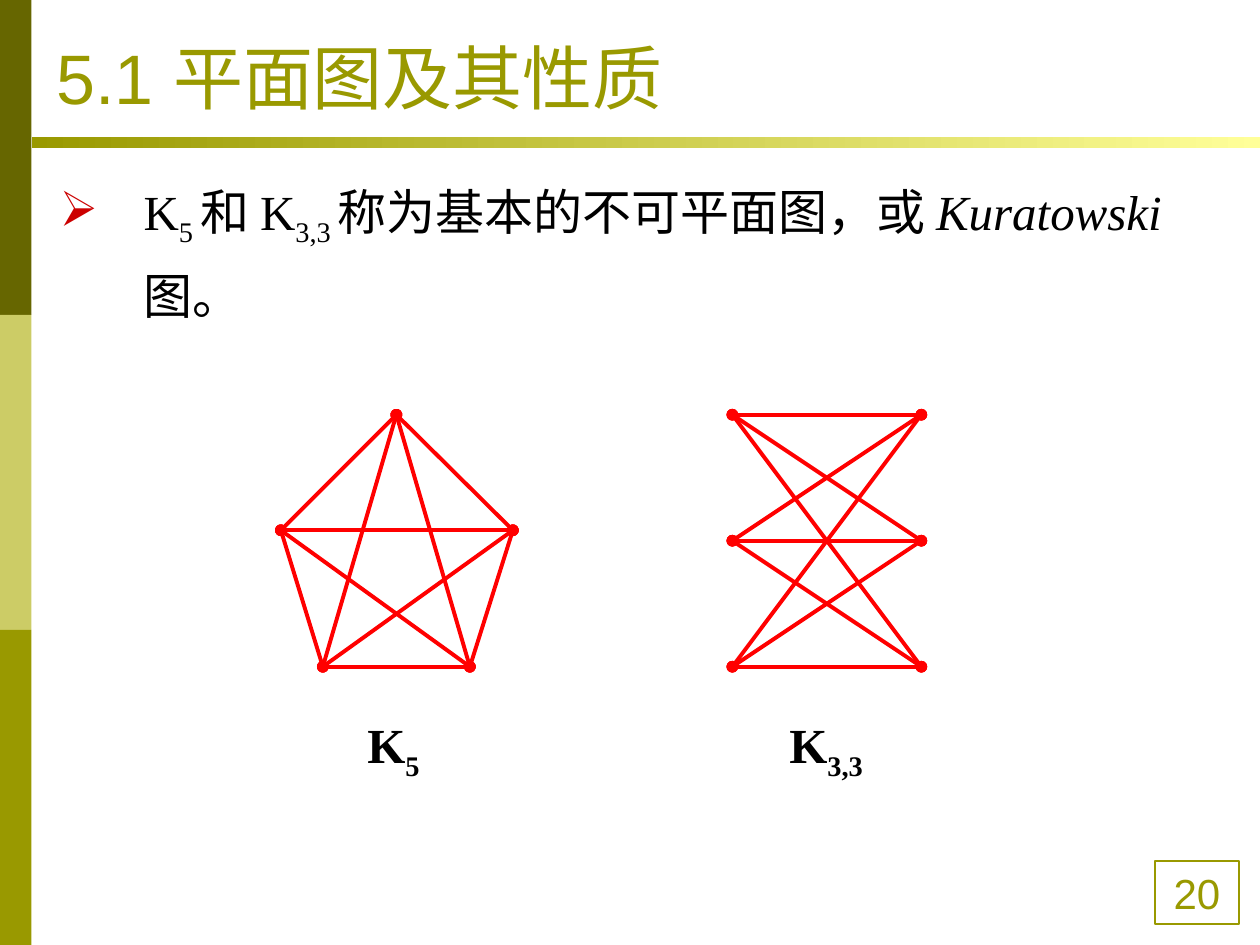
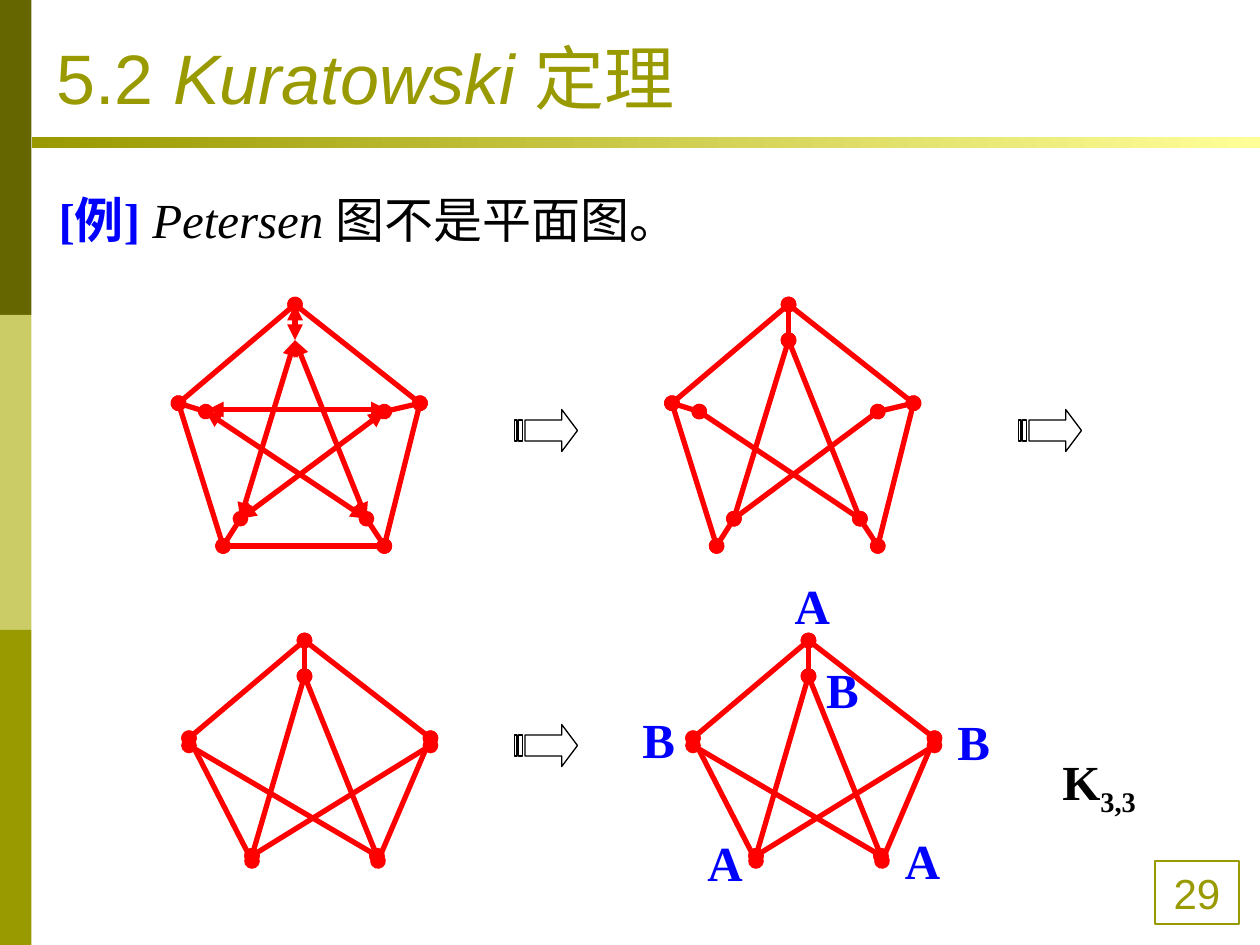
from dataclasses import dataclass
from itertools import combinations, product
from typing import NamedTuple

from lxml import etree
from pptx import Presentation, util as u
from pptx.dml.color import RGBColor
from pptx.enum import shapes, text
from pptx.oxml import ns

COLS, ROWS = 120, 90
UNIT = u.Inches(10) // COLS


@dataclass(frozen=True)
class Theme:
    dark: str = "666600"
    pale: str = "CCCC66"
    olive: str = "999900"
    glow: str = "FFFF99"
    mark: str = "CC0000"
    edge: str = "FF0000"
    note: str = "0000FF"
    ink: str = "000000"
    paper: str = "FFFFFF"
    sans: str = "Arial"
    serif: str = "Times New Roman"
    head: int = 40
    body: int = 28
    page: int = 24


T = Theme()


class Box(NamedTuple):
    x: float
    y: float
    w: float
    h: float


class Dot(NamedTuple):
    x: float
    y: float


class Span(NamedTuple):
    txt: str
    bold: bool = False
    slant: bool = False
    sub: bool = False
    color: str = ""


@dataclass(frozen=True)
class Style:
    font: str
    size: int
    color: str


@dataclass(frozen=True)
class Graph:
    """Named dots and the edges between them, each edge a pair of names."""
    dots: dict[str, Dot]
    edges: list[tuple[str, str]]
    width: float = 3
    tip: str = "oval"


HEAD = Style(T.sans, T.head, T.olive)
BODY = Style(T.serif, T.body, T.ink)
NOTE = Style(T.serif, T.body, T.note)
PAGE = Style(T.sans, T.page, T.olive)


def grid(*vals: float) -> list[u.Emu]:
    return [u.Emu(round(v * UNIT)) for v in vals]


def rgb(code: str) -> RGBColor:
    return RGBColor.from_string(code)


def pairs(words: str) -> list[tuple[str, str]]:
    """Turn 'a-b c-d' into [(a, b), (c, d)]."""
    return [tuple(w.split("-")) for w in words.split()]


def shift(dots: dict[str, Dot], dx: float) -> dict[str, Dot]:
    return {k: Dot(d.x + dx, d.y) for k, d in dots.items()}


def add_rect(slide, box: Box, fill: str = "", line: str = ""):
    rect = slide.shapes.add_shape(shapes.MSO_SHAPE.RECTANGLE, *grid(*box))
    rect.shadow.inherit = False
    if fill:
        rect.fill.solid()
        rect.fill.fore_color.rgb = rgb(fill)
    else:
        rect.fill.background()
    if line:
        rect.line.color.rgb = rgb(line)
        rect.line.width = u.Pt(0.75)
    else:
        rect.line.fill.background()
    return rect


def put_spans(para, spans: list[Span], style: Style) -> None:
    for span in spans:
        run = para.add_run()
        run.text = span.txt
        font = run.font
        font.name, font.size = style.font, u.Pt(style.size)
        font.color.rgb = rgb(span.color or style.color)
        font.bold, font.italic = span.bold, span.slant
        if span.sub:
            run._r.get_or_add_rPr().set("baseline", "-25000")


def add_text(slide, box: Box, spans: list[Span], style: Style, wrap: bool = True):
    shape = slide.shapes.add_textbox(*grid(*box))
    shape.text_frame.word_wrap = wrap
    put_spans(shape.text_frame.paragraphs[0], spans, style)
    return shape


def add_body(slide, box: Box, spans: list[Span], bullet: str = "") -> None:
    """Place a paragraph with a hanging indent and an optional bullet."""
    para = add_text(slide, box, spans, BODY).text_frame.paragraphs[0]
    para.line_spacing = 1.3
    props = para._p.get_or_add_pPr()
    hang = 8 * UNIT
    props.set("marL", str(hang))
    props.set("indent", str(-hang))
    if bullet:
        color = etree.SubElement(props, ns.qn("a:buClr"))
        etree.SubElement(color, ns.qn("a:srgbClr"), val=T.mark)
        etree.SubElement(props, ns.qn("a:buChar"), char=bullet)


def add_edge(group, start: Dot, end: Dot, width: float, tip: str) -> None:
    line = group.shapes.add_connector(
        shapes.MSO_CONNECTOR.STRAIGHT, *grid(*start, *end))
    line.line.color.rgb = rgb(T.edge)
    line.line.width = u.Pt(width)
    props = line._element.spPr
    for name in ("a:headEnd", "a:tailEnd"):
        etree.SubElement(props.find(ns.qn("a:ln")), ns.qn(name), type=tip)
    etree.SubElement(props, ns.qn("a:effectLst"))


def add_graph(slide, *parts: Graph) -> None:
    group = slide.shapes.add_group_shape()
    for part in parts:
        for a, b in part.edges:
            add_edge(group, part.dots[a], part.dots[b], part.width, part.tip)


def add_arrow(slide, x: float, y: float) -> None:
    """Draw a right arrow with two stripes behind its tail."""
    loops = [[(1, 1), (4.5, 1), (4.5, 0), (6, 2), (4.5, 4), (4.5, 3), (1, 3)]]
    loops += [[(a, 1), (b, 1), (b, 3), (a, 3)] for a, b in ((0, 0.25), (0.4, 0.8))]
    pen = None
    for loop in loops:
        first, *rest = [grid(x + dx, y + dy) for dx, dy in loop]
        if pen is None:
            pen = slide.shapes.build_freeform(*first)
        else:
            pen.move_to(*first)
        pen.add_line_segments(rest, close=True)
    arrow = pen.convert_to_shape()
    arrow.shadow.inherit = False
    arrow.fill.solid()
    arrow.fill.fore_color.rgb = rgb(T.paper)
    arrow.line.color.rgb = rgb(T.ink)
    arrow.line.width = u.Pt(0.75)


def add_name(slide, x: float, y: float, sub: str) -> None:
    """Label a graph as K with a subscript."""
    add_text(slide, Box(x, y, 10, 7.5),
             [Span("K", bold=True), Span(sub, bold=True, sub=True)], BODY, wrap=False)


def add_base(deck, title: list[Span], page: str):
    slide = deck.slides.add_slide(deck.slide_layouts[6])
    for i, color in enumerate((T.dark, T.pale, T.olive)):
        add_rect(slide, Box(0, i * ROWS / 3, 3, ROWS / 3), color)
    rule = add_rect(slide, Box(3, 13, COLS - 3, 1.1))
    rule.fill.gradient()
    rule.fill.gradient_angle = 0
    for stop, color in zip(rule.fill.gradient_stops, (T.olive, T.glow)):
        stop.color.rgb = rgb(color)
    frame = add_rect(slide, Box(110, 82, 8, 6), line=T.olive).text_frame
    frame.paragraphs[0].alignment = text.PP_ALIGN.CENTER
    put_spans(frame.paragraphs[0], [Span(page)], PAGE)
    head = add_text(slide, Box(4.2, 1.5, 108, 10.4), title, HEAD)
    head.text_frame.vertical_anchor = text.MSO_ANCHOR.BOTTOM
    return slide


def build_basic(deck) -> None:
    slide = add_base(deck, [Span("5.1 平面图及其性质")], "20")
    add_body(slide, Box(4.5, 14.75, 112.5, 16.75), [
        Span("K"), Span("5 ", sub=True), Span("和 K"), Span("3,3 ", sub=True),
        Span("称为基本的不可平面图，或 "), Span("Kuratowski ", slant=True),
        Span("图。")], bullet="➢")
    five = {"top": Dot(37.75, 39.5), "left": Dot(26.75, 50.5),
            "right": Dot(48.85, 50.5), "bl": Dot(30.75, 63.5), "br": Dot(44.75, 63.5)}
    add_graph(slide, Graph(five, list(combinations(five, 2)), 2.25))
    six = {side + str(i): Dot(x, 39.5 + 12 * i)
           for side, x in (("l", 69.75), ("r", 87.75)) for i in range(3)}
    links = list(product(("l0", "l1", "l2"), ("r0", "r1", "r2")))
    add_graph(slide, Graph(six, links, 2.25))
    add_name(slide, 33.8, 67.5, "5")
    add_name(slide, 74, 67.5, "3,3")


def build_proof(deck) -> None:
    slide = add_base(deck, [Span("5.2 "), Span("Kuratowski ", slant=True),
                            Span("定理")], "29")
    add_body(slide, Box(4.4, 15.75, 113.2, 8.5), [
        Span("[例] ", bold=True, color=T.note), Span("Petersen ", slant=True),
        Span("图不是平面图。")])

    # Capitals are the outer ring, small letters the inner star
    full = {"T": Dot(28.1, 29), "L": Dot(17, 38.4), "R": Dot(40, 38.4),
            "P": Dot(21.25, 52), "Q": Dot(36.6, 52),
            "t": Dot(28.1, 32.4), "l": Dot(19.6, 39.2), "r": Dot(36.6, 39.2),
            "p": Dot(22.9, 49.4), "q": Dot(34.9, 49.4),
            "l2": Dot(19.8, 39), "r2": Dot(36.85, 39)}
    star = pairs("t-p t-q r-p l-q")
    stem = pairs("t-T")
    ring = pairs("r-R q-Q p-P l-L T-R T-L R-Q P-L")
    add_graph(slide, Graph(full, star + pairs("l2-r2") + stem, tip="triangle"),
              Graph(full, ring + pairs("P-Q")))
    add_graph(slide, Graph(shift(full, 47), star + stem + ring))

    small = {"T": Dot(29, 61), "t": Dot(29, 64.4), "L": Dot(18, 70.3),
             "l": Dot(18, 71), "R": Dot(41, 70.3), "r": Dot(41, 71),
             "p": Dot(24, 81.5), "P": Dot(24, 82), "q": Dot(35.9, 81.5), "Q": Dot(36, 82)}
    short = star + stem + pairs("T-R T-L R-Q P-L")
    for dx in (0, 48):
        add_graph(slide, Graph(shift(small, dx), short))

    for mark, x, y in (("A", 66.2, 78.7), ("A", 85, 78.5), ("A", 74.5, 54.2),
                       ("B", 90, 67.2), ("B", 77.5, 62.2), ("B", 60, 67)):
        add_text(slide, Box(x, y, 5.75, 6.8), [Span(mark, bold=True)], NOTE, wrap=False)
    for x, y in ((49, 39), (97, 39), (49, 69)):
        add_arrow(slide, x, y)
    add_name(slide, 100, 71, "3,3")


def main() -> None:
    deck = Presentation()
    deck.slide_width, deck.slide_height = grid(COLS, ROWS)
    build_basic(deck)
    build_proof(deck)
    deck.save("out.pptx")


if __name__ == "__main__":
    main()
